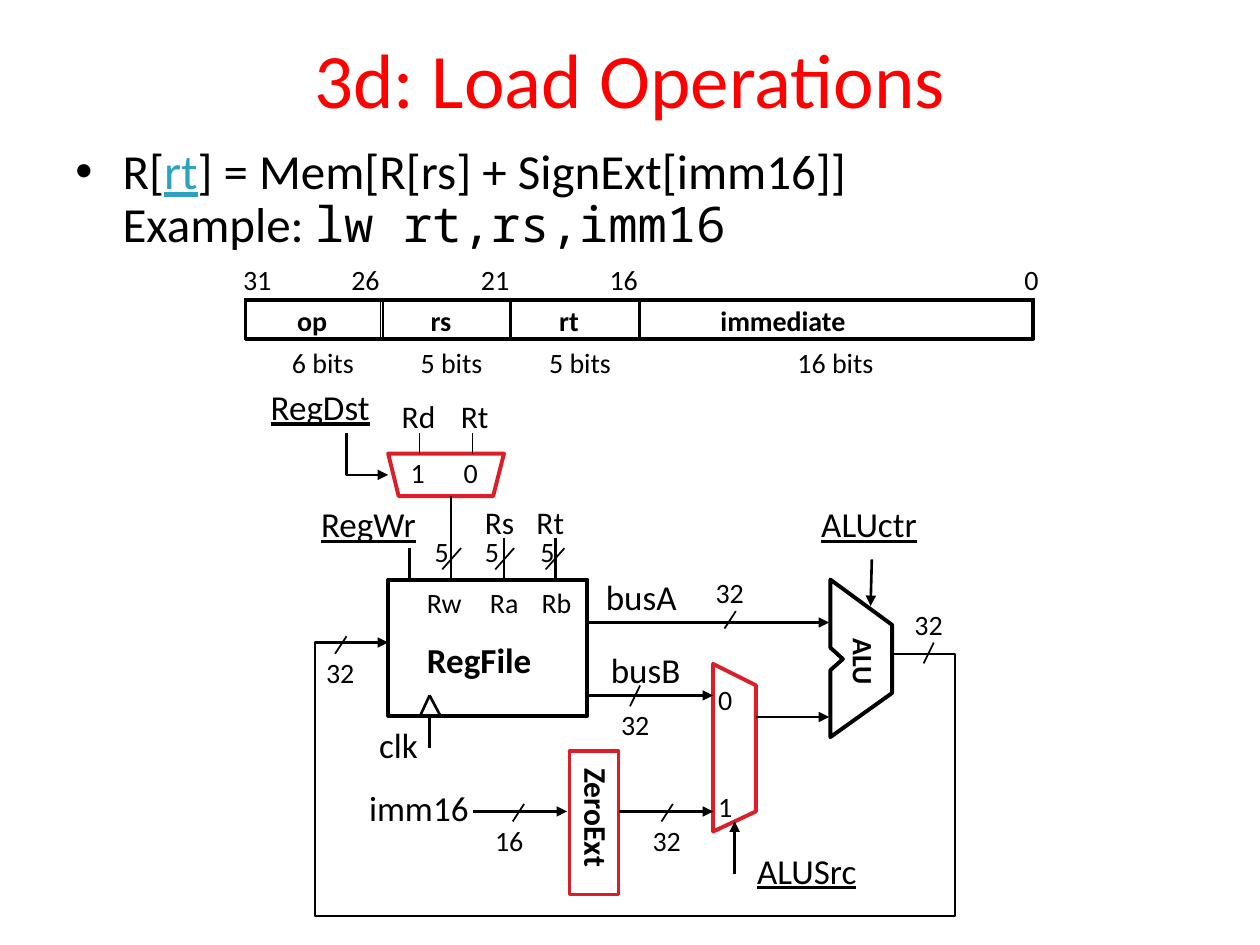
from lxml import etree
from pptx import Presentation
from pptx.dml.color import RGBColor
from pptx.enum.shapes import MSO_CONNECTOR, MSO_SHAPE
from pptx.enum.text import MSO_ANCHOR, MSO_AUTO_SIZE, PP_ALIGN
from pptx.oxml.ns import qn
from pptx.util import Pt

RECT = MSO_SHAPE.RECTANGLE
LINE = MSO_CONNECTOR.STRAIGHT
MID = MSO_ANCHOR.MIDDLE
GROW = MSO_AUTO_SIZE.SHAPE_TO_FIT_TEXT
CENTER = PP_ALIGN.CENTER

INK = {"black": "000000", "title": "FF0000", "link": "2DA2BF", "new": "DA1F28"}
FONT, MONO = "Calibri", "Noto Sans Mono"

# Instruction fields: name, left, width, name left and width,
# top bit, its left, bit count, its left and width
FIELDS = [
    ("op", 139.7, 77.8, 162.7, 31.7, "31", 131.8, "6 bits", 159.8, 50.4),
    ("rs", 218.9, 72.7, 239, 26.6, "26", 193.7, "5 bits", 233.3, 50.4),
    ("rt", 292.3, 72.7, 312.5, 26.6, "21", 267.8, "5 bits", 306.7, 50.4),
    ("immediate", 365.8, 225.4, 404.6, 87.1, "16", 341.3, "16 bits", 448.6, 58.3),
]

# Labels by size: text, left, top, width
SIGNALS = [("RegDst", 147.6, 216.7, 74.2), ("RegWr", 176.4, 283.7, 69.1),
           ("ALUctr", 462.2, 283.7, 71.3), ("ALUSrc", 425.5, 481.7, 71.3)]
WIRES = [("busA", 339.1, 325.4, 56.2), ("busB", 342, 367.2, 55.4),
         ("clk", 209.5, 409.7, 36.7), ("imm16", 203.8, 445.7, 72)]
REGS = [("Rd", 222.5, 223.2, 33.8), ("Rt", 256.3, 223.2, 31),
        ("Rs", 270, 283.7, 31.7), ("Rt", 299.5, 283.7, 31)]
PORTS = [("Rw", 236.9, 331.2, 34.6), ("Ra", 272.9, 331.2, 31.7),
         ("Rb", 302.4, 331.2, 33.1), ("1", 227.5, 257, 22.3),
         ("0", 257.8, 257, 22.3), ("0", 403.2, 386.6, 22.3),
         ("1", 403.2, 447.8, 22.3)]
WIDTHS = [("32", 515.5, 343.4, 31), ("32", 179.3, 370.8, 31),
          ("32", 401.8, 325.4, 31), ("32", 347.8, 401, 31),
          ("32", 365.8, 467.3, 31), ("16", 275.8, 467.3, 31),
          ("5", 241.2, 301.7, 22.3), ("5", 270, 301.7, 22.3),
          ("5", 301.7, 301.7, 22.3)]

# Bus slashes: width and height, then left and top of each
SLASHES = [
    ((6.5, 10), [(191.5, 363.6), (414, 349.2), (378, 459.4), (293, 459.4)]),
    ((5.8, 11.9), [(360, 391.7), (527.8, 367.2)]),
    ((10.8, 12.2), [(252.7, 313.2), (283, 313.2), (311.8, 313.2)]),
]

# Straight wires: x1, y1, x2, y2
ARROWS = [(335.5, 355.7, 473.8, 355.7), (498.2, 319.7, 497.5, 346.3),
          (335.5, 397.4, 407.5, 397.4), (432, 409.7, 473.8, 409.7),
          (353.5, 463.7, 407.5, 463.7), (270, 463.7, 324, 463.7),
          (419.8, 499.7, 419.8, 469.4)]
STUBS = [(234, 313.2, 234, 331.2), (257.8, 283.7, 257.8, 331.2),
         (288, 307.4, 288, 331.2), (317.5, 307.4, 317.5, 331.2),
         (245.5, 397.4, 239.8, 409.7), (245.5, 397.4, 252, 409.7),
         (245.5, 409.7, 245.5, 427.7)]
INPUTS = [(239.8, 247.7, 239.8, 259.2), (270, 247.7, 270, 259.2)]

# Outlines
DST_MUX = [(221.8, 259.2), (227.8, 283.5), (281.8, 283.5), (288, 259.2)]
SRC_MUX = [(407.5, 379.4), (407.5, 475.2), (432, 463.7), (432, 391.7)]
ALU = [(474.5, 331.2), (474.5, 370.1), (481.7, 376.6), (474.5, 383),
       (474.5, 421.2), (509.8, 396), (509.8, 357.1)]
SELECT = [(198, 247.7), (198, 271.4), (221.8, 271.4)]
BACK = [(509.8, 373.7), (545.8, 373.7), (545.8, 523.4), (180, 523.4),
        (180, 367.2), (221.8, 367.2)]


def color(name):
    return RGBColor.from_string(INK[name])


def style(font, size, ink="black", face=FONT):
    font.size, font.name = Pt(size), face
    font.color.rgb = color(ink)


def pen(item, width, ink="black", arrow=False):
    item.line.color.rgb = color(ink)
    item.line.width = Pt(width)
    if arrow:
        ln = item.element.spPr.find(qn("a:ln"))
        etree.SubElement(ln, qn("a:tailEnd"), type="triangle")


def wire(slide, ends, width=1.5, arrow=False):
    item = slide.shapes.add_connector(LINE, *map(Pt, ends))
    pen(item, width, arrow=arrow)
    etree.SubElement(item.element.spPr, qn("a:effectLst"))


def outline(slide, points, width, ink="black", close=True, arrow=False):
    dots = [(Pt(x), Pt(y)) for x, y in points]
    path = slide.shapes.build_freeform(*dots[0])
    path.add_line_segments(dots[1:], close=close)
    item = path.convert_to_shape()
    item.fill.background()
    item.shadow.inherit = False
    pen(item, width, ink, arrow)


def block(slide, x, y, w, h, width, ink="black"):
    item = slide.shapes.add_shape(RECT, Pt(x), Pt(y), Pt(w), Pt(h))
    item.fill.background()
    item.shadow.inherit = False
    pen(item, width, ink)


def label(slide, text, x, y, w, size=16, bold=False, under=False, turn=0):
    box = slide.shapes.add_textbox(Pt(x), Pt(y), Pt(w), Pt(1.22 * size + 7.2))
    box.rotation = turn
    box.text_frame.word_wrap = False
    box.text_frame.auto_size = GROW
    para = box.text_frame.paragraphs[0]
    para.text = text
    style(para.font, size)
    para.font.bold, para.font.underline = bold, under


def panel(slide, x, y, w, h):
    frame = slide.shapes.add_textbox(Pt(x), Pt(y), Pt(w), Pt(h)).text_frame
    frame.word_wrap = True
    return frame


def heading(slide):
    frame = panel(slide, 36, -0.7, 648, 90)
    frame.vertical_anchor = MID
    para = frame.paragraphs[0]
    para.text = "3d: Load Operations"
    para.alignment = CENTER
    style(para.font, 44, "title")


def bullet(slide):
    para = panel(slide, 36, 80.6, 648, 107.3).paragraphs[0]
    para.line_spacing = 0.9
    props = para._p.get_or_add_pPr()
    props.set("marL", str(Pt(27)))
    props.set("indent", str(-Pt(27)))
    etree.SubElement(props, qn("a:buFont"), typeface="Arial")
    etree.SubElement(props, qn("a:buChar"), char="•")
    for text, ink, face in [("R[", "black", FONT), ("rt", "link", FONT),
                            ("] = Mem[R[rs] + SignExt[imm16]]", "black", FONT),
                            ("Example: ", "black", FONT),
                            ("lw rt,rs,imm16", "black", MONO)]:
        if text.startswith("Example"):
            para.add_line_break()
        run = para.add_run()
        run.text = text
        style(run.font, 28, ink, face)
        run.font.underline = ink == "link"


def layout(slide):
    block(slide, 140.4, 171.4, 450, 22.3, 2)
    for name, x, w, nx, nw, bit, bx, count, cx, cw in FIELDS:
        block(slide, x, 170.6, w, 23, 1)
        label(slide, name, nx, 169.9, nw, bold=True)
        label(slide, bit, bx, 146.2, 31)
        label(slide, count, cx, 193.7, cw)
    label(slide, "0", 578.2, 146.2, 22.3)


def datapath(slide):
    # Units
    block(slide, 221.8, 331.2, 113.8, 77.8, 2.25)
    label(slide, "RegFile", 236.9, 361.4, 74.9, 20, bold=True)
    block(slide, 325.4, 429.1, 28.1, 82.1, 2, "new")
    label(slide, "ZeroExt", 305.3, 452.9, 71.3, 18, bold=True, turn=90)
    outline(slide, DST_MUX, 2.25, "new")
    outline(slide, SRC_MUX, 2.25, "new")
    outline(slide, ALU, 2.25)
    label(slide, "ALU", 472.3, 365.8, 42.5, bold=True, turn=90)
    # Wires
    for ends in ARROWS:
        wire(slide, ends, arrow=True)
    for ends in STUBS:
        wire(slide, ends)
    for ends in INPUTS:
        wire(slide, ends, 1)
    for (w, h), spots in SLASHES:
        for x, y in spots:
            wire(slide, (x, y + h, x + w, y), 1)
    for points in (SELECT, BACK):
        outline(slide, points, 1.5, close=False, arrow=True)
    # Names
    for size, under, group in [(20, True, SIGNALS), (20, False, WIRES),
                               (18, False, REGS), (16, False, PORTS + WIDTHS)]:
        for spot in group:
            label(slide, *spot, size=size, under=under)


def main():
    deck = Presentation()
    deck.slide_width, deck.slide_height = Pt(720), Pt(540)
    slide = deck.slides.add_slide(deck.slide_layouts[6])
    heading(slide)
    bullet(slide)
    layout(slide)
    datapath(slide)
    deck.save("out.pptx")


if __name__ == "__main__":
    main()
